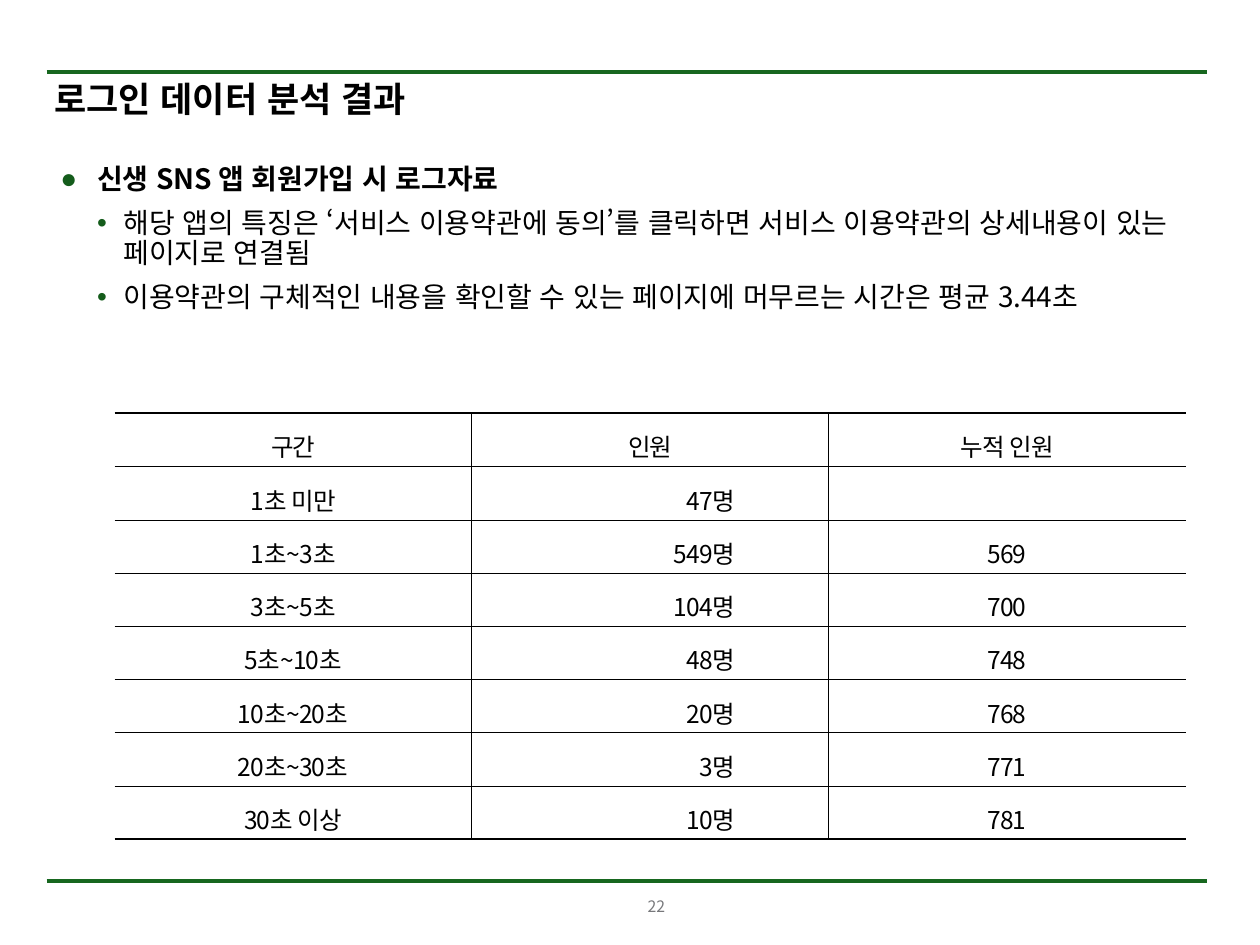
import pptx
import pptx.util
import pptx.dml.color
import pptx.enum.lang
import pptx.enum.shapes
import pptx.enum.text
import pptx.oxml.ns
import lxml.etree

FONT = "Noto Sans CJK KR"
COLORS = {"text": "000000", "rule": "17671F", "bullet": "145C1B", "number": "77787B"}
ALIGN = {name[0].lower(): getattr(pptx.enum.text.PP_ALIGN, name)
         for name in ("LEFT", "CENTER", "RIGHT")}
INCH = pptx.util.Inches
THIN, THICK = 0.28, 1.41

BULLETS = [
    (0, "신생 SNS 앱 회원가입 시 로그자료"),
    (1, "해당 앱의 특징은 ‘서비스 이용약관에 동의’를 클릭하면 서비스 이용약관의 상세내용이 있는 페이지로 연결됨"),
    (1, "이용약관의 구체적인 내용을 확인할 수 있는 페이지에 머무르는 시간은 평균 3.44초"),
]
LEVELS = [{"char": "●", "left": 0.29, "hang": 0.29}, {"char": "•", "left": 0.5, "hang": 0.21}]
ROWS = [
    ("구간", "인원", "누적 인원"),
    ("1초 미만", "47명", ""),
    ("1초~3초", "549명", "569"),
    ("3초~5초", "104명", "700"),
    ("5초~10초", "48명", "748"),
    ("10초~20초", "20명", "768"),
    ("20초~30초", "3명", "771"),
    ("30초 이상", "10명", "781"),
]


def add_xml(parent, tag, **attrs):
    """Append a DrawingML child element."""
    child = lxml.etree.SubElement(parent, pptx.oxml.ns.qn(tag))
    for name, value in attrs.items():
        child.set(name, str(value))
    return child


def write(p, text, size=14, color="text", bold=False, align="l", spacing=None, before=None, track=None):
    """Write one formatted Korean run into a paragraph."""
    p.alignment = ALIGN[align]
    if spacing is not None:
        p.line_spacing = spacing
    if before is not None:
        p.space_before = pptx.util.Pt(before)
    r = p.add_run()
    r.text = text
    r.font.size = pptx.util.Pt(size)
    r.font.bold = bold
    r.font.name = FONT
    r.font.language_id = pptx.enum.lang.MSO_LANGUAGE_ID.KOREAN
    r.font.color.rgb = pptx.dml.color.RGBColor.from_string(COLORS[color])
    r_pr = r.font._element
    add_xml(r_pr, "a:ea", typeface=FONT)
    if track is not None:
        r_pr.set("spc", str(track))


def place(sp, left, top, width, height, inset=0):
    """Move a text shape and set up its frame."""
    sp.left, sp.top, sp.width, sp.height = map(INCH, (left, top, width, height))
    tf = sp.text_frame
    tf.word_wrap = True
    tf.auto_size = pptx.enum.text.MSO_AUTO_SIZE.NONE
    tf.vertical_anchor = pptx.enum.text.MSO_ANCHOR.TOP
    tf.margin_left = tf.margin_right = tf.margin_top = tf.margin_bottom = INCH(inset)
    return tf


def add_rule(slide, y):
    """Draw a horizontal green rule."""
    line = slide.shapes.add_connector(
        pptx.enum.shapes.MSO_CONNECTOR.STRAIGHT, INCH(0.37), INCH(y), INCH(9.58), INCH(y))
    line.line.color.rgb = pptx.dml.color.RGBColor.from_string(COLORS["rule"])
    line.line.width = pptx.util.Pt(2.25)
    add_xml(line._element.spPr, "a:effectLst")


def add_bullets(tf):
    """Fill the body with bulleted paragraphs."""
    for i, (level, text) in enumerate(BULLETS):
        p = tf.paragraphs[0] if i == 0 else tf.add_paragraph()
        p.level = level
        write(p, text, size=16, bold=level == 0, spacing=0.9, before=8 if i else 0)
        style = LEVELS[level]
        p_pr = p._p.get_or_add_pPr()
        p_pr.set("marL", str(INCH(style["left"])))
        p_pr.set("indent", str(-INCH(style["hang"])))
        add_xml(add_xml(p_pr, "a:buClr"), "a:srgbClr", val=COLORS["bullet"])
        add_xml(p_pr, "a:buFont", typeface="Arial")
        add_xml(p_pr, "a:buChar", char=style["char"])


def set_borders(cell, widths):
    """Set left, right, top and bottom borders, where zero means none."""
    tc_pr = cell._tc.get_or_add_tcPr()
    for side, width in zip("LRTB", widths):
        ln = add_xml(tc_pr, f"a:ln{side}", w=pptx.util.Pt(width))
        if width:
            add_xml(add_xml(ln, "a:solidFill"), "a:srgbClr", val=COLORS["text"])
        else:
            add_xml(ln, "a:noFill")


def add_login_table(slide):
    """Add the table of dwell times and user counts."""
    n_rows, n_cols = len(ROWS), len(ROWS[0])
    table = slide.shapes.add_table(
        n_rows, n_cols, INCH(0.91), INCH(3.28), INCH(8.5), INCH(3.31)).table
    table.first_row = table.horz_banding = False
    for i, row in enumerate(ROWS):
        for j, text in enumerate(row):
            cell = table.cell(i, j)
            is_count = i > 0 and j == 1
            cell.vertical_anchor = pptx.enum.text.MSO_ANCHOR.MIDDLE
            cell.margin_left = INCH(0.07)
            cell.margin_right = INCH(0.74 if is_count else 0.07)
            cell.margin_top = cell.margin_bottom = INCH(0.02)
            set_borders(cell, (THIN if j else 0, THIN if j < n_cols - 1 else 0,
                               THIN if i else THICK, THIN if i < n_rows - 1 else THICK))
            cell.fill.background()
            if text:
                write(cell.text_frame.paragraphs[0], text, align="r" if is_count else "c",
                      spacing=1.35, track=-60)


def main():
    """Build the slide and save it."""
    prs = pptx.Presentation()
    prs.slide_width, prs.slide_height = INCH(10), INCH(7.5)
    slide = prs.slides.add_slide(prs.slide_layouts[1])
    for y in (0.57, 6.99):
        add_rule(slide, y)
    number = place(slide.shapes.add_textbox(0, 0, 0, 0), 4.59, 7.07, 1.24, 0.25, inset=0.05)
    write(number.paragraphs[0], "22", size=9, color="number", align="c")
    title = place(slide.shapes.title, 0.43, 0.65, 9.2, 0.3)
    write(title.paragraphs[0], "로그인 데이터 분석 결과", size=20, bold=True, spacing=0.9)
    add_bullets(place(slide.placeholders[1], 0.48, 1.31, 9.08, 1.99))
    add_login_table(slide)
    prs.save("out.pptx")


if __name__ == "__main__":
    main()
